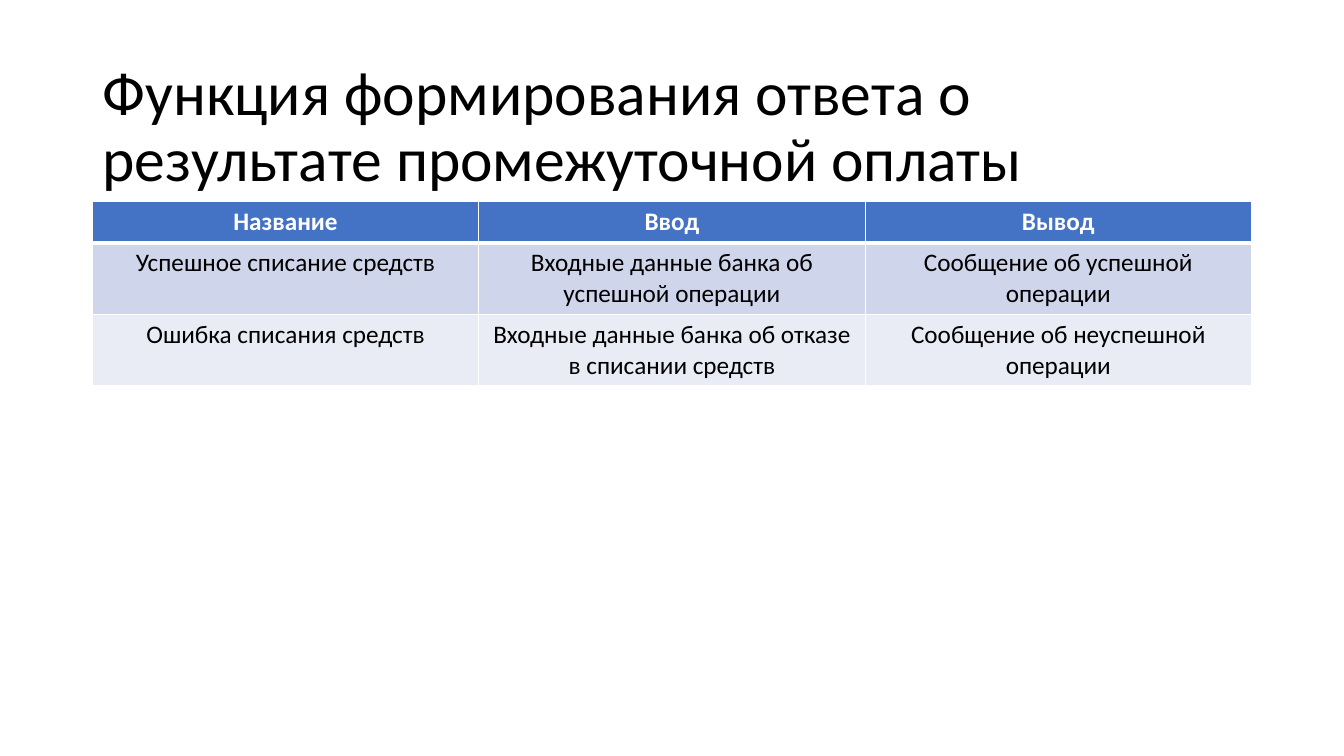
from dataclasses import dataclass

from lxml.etree import SubElement
from pptx import Presentation
from pptx.dml.color import RGBColor
from pptx.enum.text import MSO_ANCHOR, MSO_AUTO_SIZE, PP_ALIGN
from pptx.oxml.ns import qn
from pptx.util import Inches, Pt

COLS, ROWS = 160, 90  # slide grid, twelve cells to the inch


@dataclass(frozen=True)
class Theme:
    """Colours, font and type sizes of the slide."""
    font: str = "Calibri"
    ink: str = "000000"
    paper: str = "FFFFFF"
    header: str = "4472C4"
    bands: tuple = ("CFD5EA", "E9EBF5")
    title_size: int = 44
    table_size: int = 18
    border: int = 1
    header_border: int = 3


def apply(target, values):
    """Set each attribute named in values on target."""
    for name, value in values.items():
        setattr(target, name, value)


class SlideBuilder:
    """Holds the theme and the current slide."""

    def __init__(self, prs, theme):
        """Add a title-only slide to prs."""
        self.theme = theme
        self.cell_w, self.cell_h = prs.slide_width / COLS, prs.slide_height / ROWS
        self.slide = prs.slides.add_slide(prs.slide_layouts[5])

    def box(self, col, row, width, height):
        """Turn grid cells into a left, top, width, height tuple."""
        return (round(col * self.cell_w), round(row * self.cell_h),
                round(width * self.cell_w), round(height * self.cell_h))

    def add_text(self, tf, text, size, color, bold=False, **paragraph):
        """Put one formatted paragraph into a text frame."""
        p = tf.paragraphs[0]
        apply(p, paragraph)
        r = p.add_run()
        r.text = text
        apply(r.font, {"name": self.theme.font, "size": Pt(size), "bold": bold})
        r.font.color.rgb = RGBColor.from_string(color)

    def title(self, text, *place):
        """Move, format and fill the title placeholder."""
        sp = self.slide.shapes.title
        apply(sp, dict(zip(("left", "top", "width", "height"), self.box(*place))))
        tf = sp.text_frame
        apply(tf, {"word_wrap": True, "auto_size": MSO_AUTO_SIZE.NONE,
                   "vertical_anchor": MSO_ANCHOR.MIDDLE})
        self.add_text(tf, text, self.theme.title_size, self.theme.ink,
                      alignment=PP_ALIGN.LEFT, line_spacing=0.9)

    def borders(self, cell, **widths):
        """Draw the cell's four borders; widths override single sides."""
        tc_pr = cell._tc.get_or_add_tcPr()
        for side in "LRTB":
            width = widths.get(side, self.theme.border)
            ln = SubElement(tc_pr, qn(f"a:ln{side}"), w=str(Pt(width)))
            fill = SubElement(ln, qn("a:solidFill"))
            SubElement(fill, qn("a:srgbClr"), val=self.theme.paper)

    def table(self, data, col, row, width, heights):
        """Add a table with a header row and banded body rows."""
        theme = self.theme
        place = self.box(col, row, width, sum(heights))
        table = self.slide.shapes.add_table(len(data), len(data[0]), *place).table
        thick = {0: {"B": theme.header_border}, 1: {"T": theme.header_border}}
        for i, (values, height) in enumerate(zip(data, heights)):
            table.rows[i].height = round(height * self.cell_h)
            head = i == 0
            fill = theme.header if head else theme.bands[(i - 1) % len(theme.bands)]
            for j, text in enumerate(values):
                cell = table.cell(i, j)
                self.borders(cell, **thick.get(i, {}))
                cell.fill.solid()
                cell.fill.fore_color.rgb = RGBColor.from_string(fill)
                self.add_text(cell.text_frame, text, theme.table_size,
                              theme.paper if head else theme.ink, head,
                              alignment=PP_ALIGN.CENTER)


def main():
    """Build the slide and save it."""
    prs = Presentation()
    apply(prs, {"slide_width": Inches(COLS / 12), "slide_height": Inches(ROWS / 12)})
    s = SlideBuilder(prs, Theme())
    left, width = 11, COLS - 2 * 11
    s.title("Функция формирования ответа о результате промежуточной оплаты",
            left, 6.6, width, 17.4)
    s.table([
        ("Название", "Ввод", "Вывод"),
        ("Успешное списание средств",
         "Входные данные банка об успешной операции",
         "Сообщение об успешной операции"),
        ("Ошибка списания средств",
         "Входные данные банка об отказе в списании средств",
         "Сообщение об неуспешной операции"),
    ], left, 24, width, (4.9, 8.4, 8.4))
    prs.save("out.pptx")


main()
